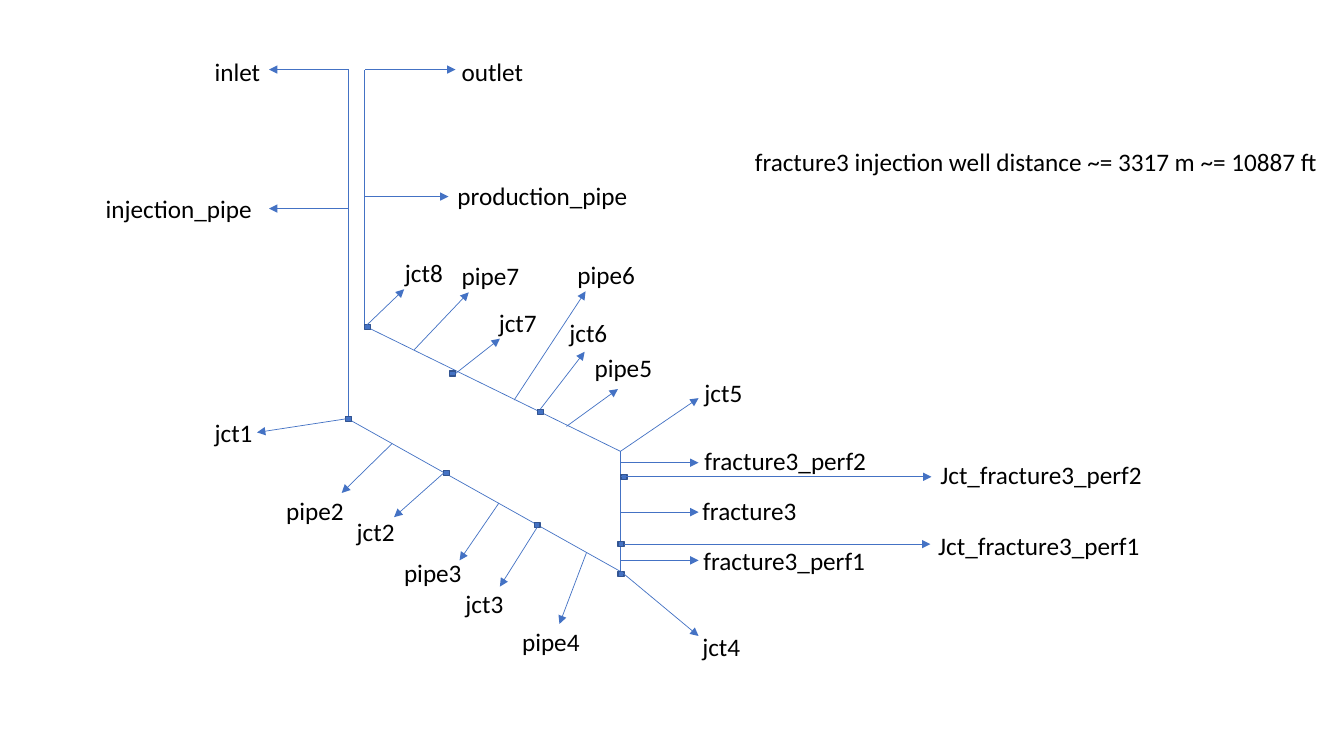
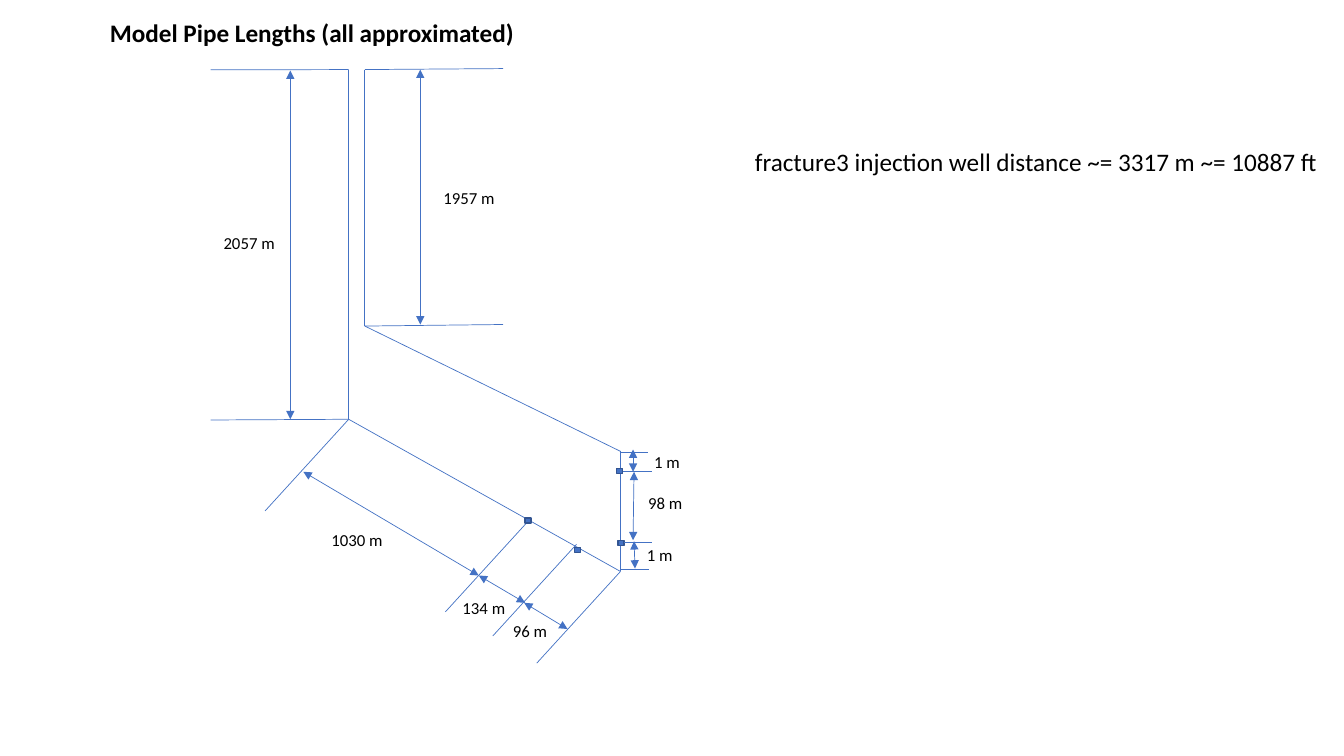
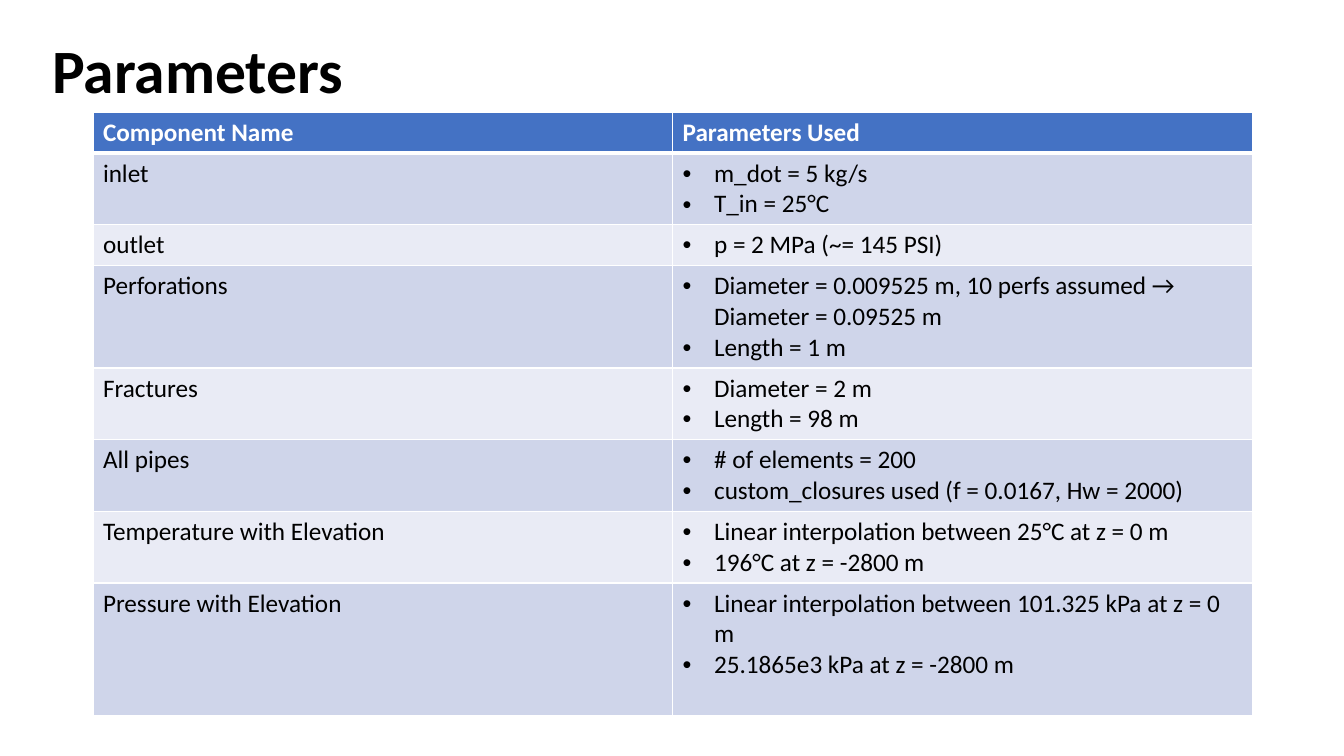
from lxml.etree import SubElement
from pptx import Presentation
from pptx.dml.color import RGBColor
from pptx.enum.shapes import MSO_CONNECTOR, MSO_SHAPE
from pptx.enum.text import MSO_ANCHOR, MSO_AUTO_SIZE, PP_ALIGN
from pptx.oxml.ns import qn
from pptx.util import Pt

COLORS = {
    "line": "4472C4",
    "node_edge": "325491",
    "text": "000000",
    "white": "FFFFFF",
    "band_dark": "CFD5EA",
    "band_light": "E9EBF5",
}
FONT = "Calibri"
NODE_WIDTH, NODE_HEIGHT = 4.3, 3.6
TOP, LEFT, BOTTOM, RIGHT = range(4)

INJECTION_TOP, INJECTION_HEEL = (249.1, 49.7), (249.1, 299.5)
PRODUCTION_TOP, PRODUCTION_HEEL = (260.6, 49.7), (260.6, 232.9)
FRACTURE_TOP, FRACTURE_BOTTOM = (443.2, 322.4), (443.2, 408.2)
WELL_OUTLINE = [
    (INJECTION_TOP, INJECTION_HEEL),
    (INJECTION_HEEL, FRACTURE_BOTTOM),
    (FRACTURE_BOTTOM, FRACTURE_TOP),
    (FRACTURE_TOP, PRODUCTION_HEEL),
    (PRODUCTION_HEEL, PRODUCTION_TOP),
]

JUNCTIONS = [
    ("jct1", (247, 297.4), LEFT, (183.6, 308.9), (146.2, 294.5, 43)),
    ("jct2", (316.8, 336.2), LEFT, (281.5, 369.4), (247.7, 365, 43)),
    ("jct3", (381.6, 373), BOTTOM, (357.1, 419), (325.4, 416.9, 43)),
    ("jct4", (441.4, 408.2), TOP, (499, 454.3), (494.6, 447.1, 43)),
    ("jct6", (383.8, 292.3), TOP, (417.6, 251.3), (399.6, 223.2, 43)),
    ("jct7", (321.1, 265), RIGHT, (357.1, 241.9), (349.2, 216, 43)),
    ("jct8", (260.6, 231.8), LEFT, (288.7, 206.6), (282.2, 180, 43)),
    ("Jct_fracture3_perf1", (441.4, 386.9), RIGHT, (664.6, 388.7), (663.1, 375.1, 161)),
    ("Jct_fracture3_perf2", (443.5, 338.8), LEFT, (665.3, 340.6), (664.6, 324.7, 215)),
]

PIPES = [
    ("inlet", INJECTION_TOP, (192.2, 49.7), (146.2, 36.7, 62)),
    ("outlet", PRODUCTION_TOP, (325.4, 49.7), (322.6, 36.7, 62)),
    ("injection_pipe", (249.1, 149), (192.2, 149), (68.4, 134.6, 124)),
    ("production_pipe", (260.6, 140.4), (320.4, 140.4), (319.7, 125.3, 139)),
    ("pipe2", (280.1, 316.8), (244.1, 352.1), (197.3, 350.6, 57)),
    ("pipe3", (356.4, 359.3), (328.3, 400.3), (281.5, 394.6, 57)),
    ("pipe4", (419, 394.6), (399.6, 445.7), (365.8, 444.2, 57)),
    ("pipe5", (404.6, 304.6), (441.4, 277.9), (417.6, 248.4, 57)),
    ("pipe6", (367.2, 285.8), (418.3, 208.1), (405.4, 181.4, 57)),
    ("pipe7", (295.9, 249.8), (334.8, 208.8), (322.6, 182.2, 57)),
    ("jct5", FRACTURE_TOP, (499, 284.4), (496.1, 265.7, 43)),
    ("fracture3_perf2", (443.2, 330.5), (499, 330.5), (496.1, 314.6, 239)),
    ("fracture3", (443.2, 365.8), (499, 365.8), (494.6, 350.6, 100)),
    ("fracture3_perf1", (443.2, 400.3), (499, 400.3), (495.4, 385.9, 208)),
]

DIMENSIONS = [
    ("2057 m", (207.4, 50.4), (207.4, 299.5), (152.6, 162.7, 56)),
    ("1957 m", (300.2, 49.7), (300.2, 231.8), (309.6, 130.3, 56)),
    ("1030 m", (216.7, 337), (342, 411.1), (229.7, 375.1, 58)),
    ("134 m", (342, 411.1), (375.1, 430.6), (323.3, 423.4, 58)),
    ("96 m", (374.4, 430.6), (405.4, 449.3), (359.3, 439.9, 41)),
    ("1 m", (452.2, 321.1), (452.2, 337), (460.1, 319, 58)),
    ("98 m", (452.9, 337), (452.2, 385.9), (455.8, 348.5, 58)),
    ("1 m", (452.9, 386.6), (453.6, 406.1), (455, 385.9, 58)),
]
DIAGONAL_STARTS = [INJECTION_HEEL, (378, 371.5), (411.8, 388.8), FRACTURE_BOTTOM]
DIAGONAL_RUN, DIAGONAL_DROP = -59.8, 65.5
LEVEL_TICKS = [
    (INJECTION_TOP, (150.5, 49.9)),
    (INJECTION_HEEL, (150.5, 300)),
    (PRODUCTION_TOP, (359.3, 49)),
    (PRODUCTION_HEEL, (359.3, 231.8)),
    ((443.2, 323), (463, 323)),
    ((443.2, 406.8), (463.7, 406.8)),
]
PERFORATION_NODES = [(440.6, 334.8), (441.4, 385.9)]
PIPE_NODES = [(375.1, 370.1), (410.4, 391)]

PARAMETERS = [
    ("inlet", ["m_dot = 5 kg/s", "T_in = 25°C"], 51.2),
    ("outlet", ["p = 2 MPa (~= 145 PSI)"], 29.2),
    ("Perforations", ["Diameter = 0.009525 m, 10 perfs assumed → Diameter = 0.09525 m",
                      "Length = 1 m"], 73),
    ("Fractures", ["Diameter = 2 m", "Length = 98 m"], 51.2),
    ("All pipes", ["# of elements = 200",
                   "custom_closures used (f = 0.0167, Hw = 2000)"], 51.2),
    ("Temperature with Elevation", ["Linear interpolation between 25°C at z = 0 m",
                                    "196°C at z = -2800 m"], 51.2),
    ("Pressure with Elevation", ["Linear interpolation between 101.325 kPa at z = 0 m",
                                 "25.1865e3 kPa at z = -2800 m"], 95),
]


def color(name):
    return RGBColor.from_string(COLORS[name])


def add_span(para, text, size, bold=False, ink="text"):
    span = para.add_run()
    span.text = text
    span.font.name = FONT
    span.font.size = Pt(size)
    span.font.bold = bold
    span.font.color.rgb = color(ink)


def add_label(page, text, place, size=18):
    left, top, width = place
    box = page.shapes.add_textbox(Pt(left), Pt(top), Pt(width), Pt(size * 1.2 + 7.2))
    box.text_frame.word_wrap = True
    add_span(box.text_frame.paragraphs[0], text, size)


def add_title(page, text, place, size, anchor, spacing):
    title = page.shapes.title
    title.left, title.top, title.width, title.height = map(Pt, place)
    frame = title.text_frame
    frame.auto_size = MSO_AUTO_SIZE.NONE
    frame.word_wrap = True
    frame.vertical_anchor = anchor
    para = frame.paragraphs[0]
    para.alignment = PP_ALIGN.LEFT
    para.line_spacing = spacing
    add_span(para, text, size, bold=True)


def add_line(page, start, end, arrows=()):
    line = page.shapes.add_connector(MSO_CONNECTOR.STRAIGHT, *map(Pt, start + end))
    line.line.color.rgb = color("line")
    line.line.width = Pt(0.5)
    for arrow in arrows:
        SubElement(line.line._get_or_add_ln(), qn(f"a:{arrow}")).set("type", "triangle")
    SubElement(line._element.spPr, qn("a:effectLst"))
    return line


def add_node(page, corner):
    left, top = corner
    node = page.shapes.add_shape(
        MSO_SHAPE.RECTANGLE, Pt(left), Pt(top), Pt(NODE_WIDTH), Pt(NODE_HEIGHT))
    node.shadow.inherit = False
    node.fill.solid()
    node.fill.fore_color.rgb = color("line")
    node.line.color.rgb = color("node_edge")
    node.line.width = Pt(1)
    return node


def add_well(page):
    for start, end in WELL_OUTLINE:
        add_line(page, start, end)
    add_label(page, "fracture3 injection well distance ~= 3317 m ~= 10887 ft",
              (532.1, 100.8, 427.9))


def add_bullet(para):
    properties = para._p.get_or_add_pPr()
    properties.set("marL", str(Pt(22.5)))
    properties.set("indent", str(Pt(-22.5)))
    SubElement(properties, qn("a:buFont")).set("typeface", "Arial")
    SubElement(properties, qn("a:buChar")).set("char", "•")


def fill_cell(cell, lines, fill, header=False, bullets=False):
    properties = cell._tc.get_or_add_tcPr()
    for side in ("lnL", "lnR", "lnT", "lnB"):
        if side == "lnT" and not header:
            continue
        width = 3 if header and side == "lnB" else 1
        border = SubElement(properties, qn(f"a:{side}"), w=str(Pt(width)))
        ink = SubElement(border, qn("a:solidFill"))
        SubElement(ink, qn("a:srgbClr")).set("val", COLORS["white"])
    cell.fill.solid()
    cell.fill.fore_color.rgb = color(fill)
    frame = cell.text_frame
    for index, text in enumerate(lines):
        para = frame.add_paragraph() if index else frame.paragraphs[0]
        if bullets:
            add_bullet(para)
        add_span(para, text, 18, header, "white" if header else "text")


def add_parameter_table(page):
    table = page.shapes.add_table(
        len(PARAMETERS) + 1, 2, Pt(66.4), Pt(80.2), Pt(828), Pt(431)).table
    table.rows[0].height = Pt(29.2)
    for column, heading in enumerate(("Component Name", "Parameters Used")):
        table.columns[column].width = Pt(414)
        fill_cell(table.cell(0, column), [heading], "line", header=True)
    for row, (component, values, height) in enumerate(PARAMETERS, 1):
        table.rows[row].height = Pt(height)
        band = "band_dark" if row % 2 else "band_light"
        fill_cell(table.cell(row, 0), [component], band)
        fill_cell(table.cell(row, 1), values, band, bullets=True)


def build_component_page(page):
    add_well(page)
    for name, start, tip, place in PIPES:
        add_line(page, start, tip, ["tailEnd"])
        add_label(page, name, place)
    for name, corner, side, tip, place in JUNCTIONS:
        node = add_node(page, corner)
        add_line(page, corner, tip, ["tailEnd"]).begin_connect(node, side)
        add_label(page, name, place)


def build_length_page(page):
    add_title(page, "Model Pipe Lengths (all approximated)",
              (71.3, 8.6, 421.9, 28.8), 18, MSO_ANCHOR.TOP, 1.0)
    add_well(page)
    for start, end in LEVEL_TICKS:
        add_line(page, start, end)
    for left, top in DIAGONAL_STARTS:
        add_line(page, (left, top), (left + DIAGONAL_RUN, top + DIAGONAL_DROP))
    for name, start, end, place in DIMENSIONS:
        add_line(page, start, end, ["headEnd", "tailEnd"])
        add_label(page, name, place, 12)
    for corner in PIPE_NODES:
        add_node(page, corner)
    for corner in PERFORATION_NODES:
        node = add_node(page, corner)
        tick_end = (465.8, corner[1] + NODE_HEIGHT / 2)
        add_line(page, corner, tick_end).begin_connect(node, RIGHT)


def build_parameter_page(page):
    add_title(page, "Parameters", (30.2, 0, 828, 104.4), 44, MSO_ANCHOR.MIDDLE, 0.9)
    add_parameter_table(page)


def main():
    deck = Presentation()
    deck.slide_width, deck.slide_height = Pt(960), Pt(540)
    title_only, blank = deck.slide_layouts[5], deck.slide_layouts[6]
    build_component_page(deck.slides.add_slide(blank))
    build_length_page(deck.slides.add_slide(title_only))
    build_parameter_page(deck.slides.add_slide(title_only))
    deck.save("out.pptx")


if __name__ == "__main__":
    main()
